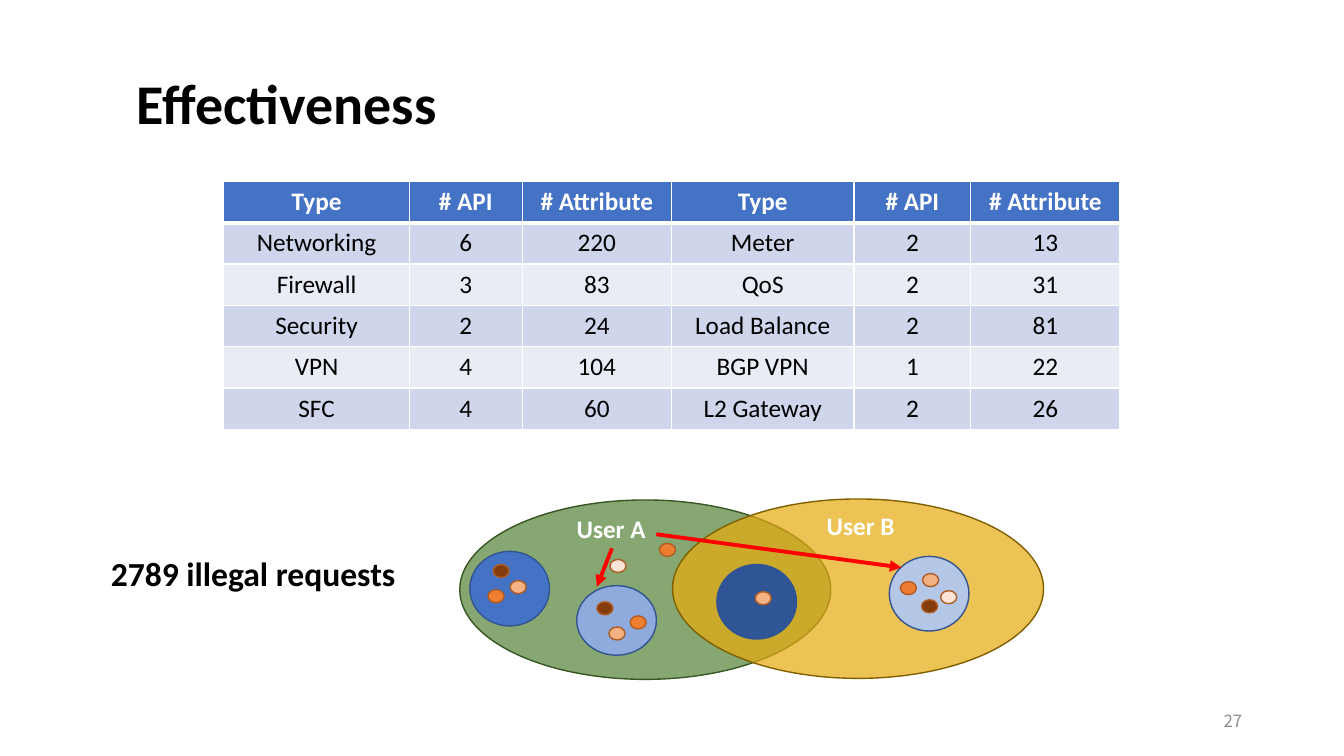
"""Build the Effectiveness slide with its API table and user overlap diagram."""
from lxml import etree
from pptx import Presentation
from pptx.dml.color import RGBColor
from pptx.enum.shapes import MSO_CONNECTOR, MSO_SHAPE
from pptx.enum.text import MSO_ANCHOR, MSO_AUTO_SIZE, PP_ALIGN
from pptx.oxml.ns import qn
from pptx.util import Emu, Pt

OVAL = MSO_SHAPE.OVAL
STRAIGHT = MSO_CONNECTOR.STRAIGHT
LEFT, CENTER, RIGHT = PP_ALIGN.LEFT, PP_ALIGN.CENTER, PP_ALIGN.RIGHT
TOP, MIDDLE = MSO_ANCHOR.TOP, MSO_ANCHOR.MIDDLE
FIT, FIXED = MSO_AUTO_SIZE.SHAPE_TO_FIT_TEXT, MSO_AUTO_SIZE.NONE

EMU_PER_PX = 9144
SLIDE_SIZE = (1333, 750)
FONT = "Calibri"
BLACK, WHITE, RED = "000000", "FFFFFF", "FF0000"
HEADER_FILL, BAND_FILLS = "4472C4", ("CFD5EA", "E9EBF5")
CIRCLE_LINE, DOT_LINE = "325491", "AF5C24"
BROWN, ORANGE, PEACH, CREAM = "843C0B", "ED7D31", "F4B183", "FBE5D6"

TITLE = ("Effectiveness", (126, 63, 323, 77), 40)
SUMMARY = ("2789 illegal requests", (100, 544, 305, 50), 24)
PAGE_NUMBER = ("27", (942, 695, 300, 40), 12)

TABLE_LEFT, TABLE_TOP, ROW_HEIGHT = 222, 180, 41
COLUMN_WIDTHS = (184, 112, 148, 181, 116, 148)
TABLE_ROWS = (
    ("Type", "# API", "# Attribute") * 2,
    ("Networking", "6", "220", "Meter", "2", "13"),
    ("Firewall", "3", "83", "QoS", "2", "31"),
    ("Security", "2", "24", "Load Balance", "2", "81"),
    ("VPN", "4", "104", "BGP VPN", "1", "22"),
    ("SFC", "4", "60", "L2 Gateway", "2", "26"),
)

USER_AREAS = (
    ((456, 496, 368, 178), "548235", "385723"),
    ((667, 495, 368, 178), "E8AA0E", "806000"),
)
CIRCLES = (
    ((466, 547, 79, 74), "4472C4"),
    ((572, 581, 79, 69), "8FAADC"),
    ((882, 552, 79, 74), "B4C7E7"),
    ((711, 560, 79, 74), "2F5597"),
)
USER_NAMES = (
    ("User A", (562, 504, 89, 40), 18),
    ("User B", (810, 501, 88, 40), 18),
)
ARROWS = ((651, 530, 894, 563), (607, 544, 592, 582))
DOT_SIZE = (16, 13)
DOTS = {
    BROWN: ((489, 560), (592, 597), (914, 595)),
    ORANGE: ((484, 585), (625, 611), (893, 577), (654, 539)),
    PEACH: ((506, 576), (749, 587), (915, 569), (604, 622)),
    CREAM: ((933, 586), (605, 555)),
}


def px(*lengths):
    return [Emu(length * EMU_PER_PX) for length in lengths]


def color(hex_string):
    return RGBColor.from_string(hex_string)


def apply(target, formats):
    for name, value in formats.items():
        setattr(target, name, value)


def write(frame, text, size, ink, bold=True, align=LEFT, font=FONT):
    paragraph = frame.paragraphs[0]
    paragraph.alignment = align
    run = paragraph.add_run()
    run.text = text
    apply(run.font, {"size": Pt(size), "name": font, "bold": bold})
    run.font.color.rgb = color(ink)
    return run


def add_text(slide, item, ink, bold=True, align=LEFT, font=FONT,
             anchor=TOP, wrap=False, fit=FIT):
    text, box, size = item
    frame = slide.shapes.add_textbox(*px(*box)).text_frame
    apply(frame, {"word_wrap": wrap, "auto_size": fit, "vertical_anchor": anchor})
    return write(frame, text, size, ink, bold, align, font)


def add_oval(slide, box, fill, line, opacity=100):
    shape = slide.shapes.add_shape(OVAL, *px(*box))
    shape.shadow.inherit = False
    shape.fill.solid()
    shape.fill.fore_color.rgb = color(fill)
    shape.line.color.rgb = color(line)
    shape.line.width = Pt(1)
    if opacity < 100:
        fill_color = shape.fill._xPr.find(qn("a:solidFill"))[0]
        etree.SubElement(fill_color, qn("a:alpha"), val=str(opacity * 1000))


def add_arrow(slide, ends):
    arrow = slide.shapes.add_connector(STRAIGHT, *px(*ends))
    arrow.line.color.rgb = color(RED)
    arrow.line.width = Pt(2.75)
    etree.SubElement(arrow.line._get_or_add_ln(), qn("a:tailEnd"), type="triangle")
    etree.SubElement(arrow._element.spPr, qn("a:effectLst"))


def set_borders(cell, bottom_width):
    properties = cell._tc.get_or_add_tcPr()
    widths = {"lnL": 1, "lnR": 1, "lnT": 1, "lnB": bottom_width}
    for index, (side, width) in enumerate(widths.items()):
        border = etree.Element(qn(f"a:{side}"), w=str(Pt(width)))
        fill = etree.SubElement(border, qn("a:solidFill"))
        etree.SubElement(fill, qn("a:srgbClr"), val=WHITE)
        properties.insert(index, border)


def add_api_table(slide):
    row_count = len(TABLE_ROWS)
    box = px(TABLE_LEFT, TABLE_TOP, sum(COLUMN_WIDTHS), ROW_HEIGHT * row_count)
    table = slide.shapes.add_table(row_count, len(COLUMN_WIDTHS), *box).table
    for column, width in zip(table.columns, px(*COLUMN_WIDTHS)):
        column.width = width
    for row_index, values in enumerate(TABLE_ROWS):
        header = row_index == 0
        table.rows[row_index].height = px(ROW_HEIGHT)[0]
        fill = HEADER_FILL if header else BAND_FILLS[(row_index - 1) % 2]
        for column_index, text in enumerate(values):
            cell = table.cell(row_index, column_index)
            cell.fill.solid()
            cell.fill.fore_color.rgb = color(fill)
            set_borders(cell, 3 if header or row_index == 0 else 1)
            if row_index == 1:
                cell._tc.tcPr.find(qn("a:lnT")).set("w", str(Pt(3)))
            write(cell.text_frame, text, 18, WHITE if header else BLACK, header, CENTER)


def add_diagram(slide):
    for box, fill, line in USER_AREAS:
        add_oval(slide, box, fill, line, 70)
    for box, fill in CIRCLES:
        add_oval(slide, box, fill, CIRCLE_LINE)
    for name in USER_NAMES:
        add_text(slide, name, WHITE)
    for ends in ARROWS:
        add_arrow(slide, ends)
    for fill, corners in DOTS.items():
        for corner in corners:
            add_oval(slide, corner + DOT_SIZE, fill, DOT_LINE)


def main():
    presentation = Presentation()
    presentation.slide_width, presentation.slide_height = px(*SLIDE_SIZE)
    slide = presentation.slides.add_slide(presentation.slide_layouts[6])
    add_text(slide, PAGE_NUMBER, "8C8C8C", False, RIGHT, "Noto Sans CJK SC",
             MIDDLE, True, FIXED)
    add_text(slide, TITLE, BLACK)
    add_api_table(slide)
    add_text(slide, SUMMARY, BLACK)
    add_diagram(slide)
    presentation.save("out.pptx")


if __name__ == "__main__":
    main()
